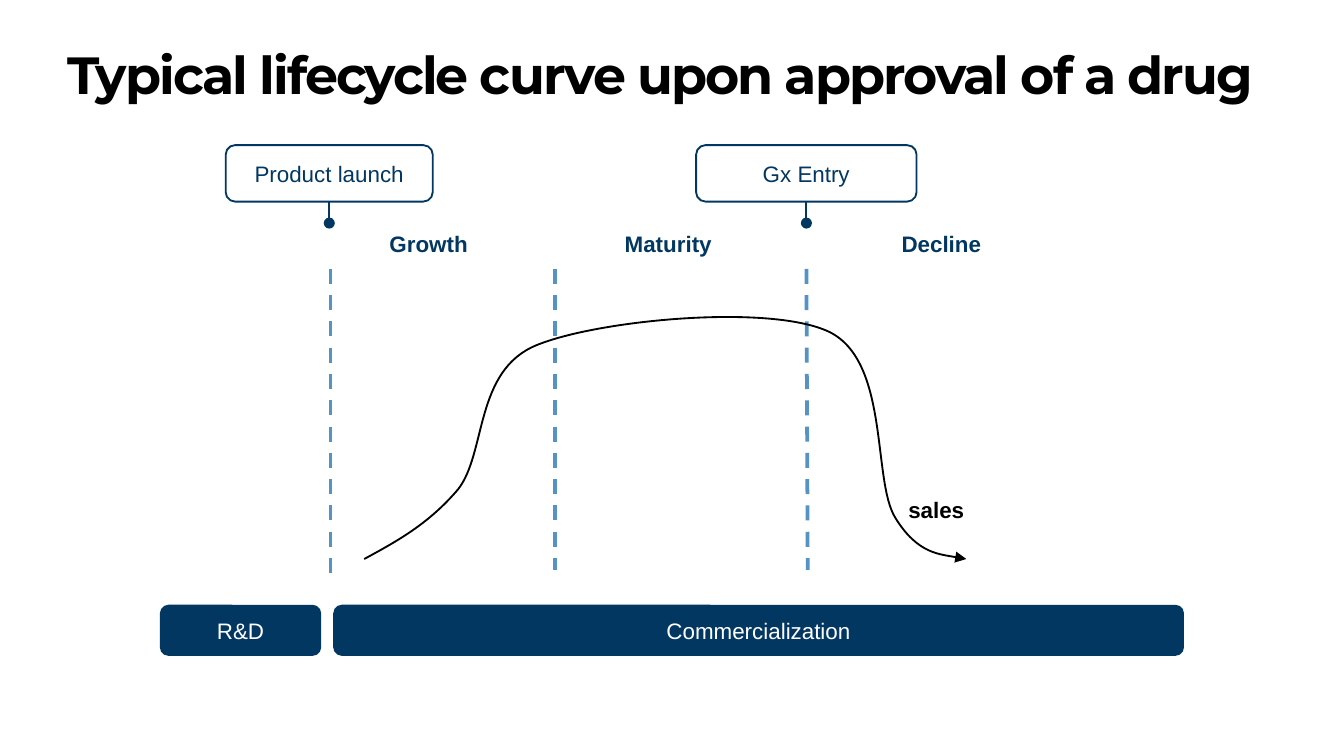
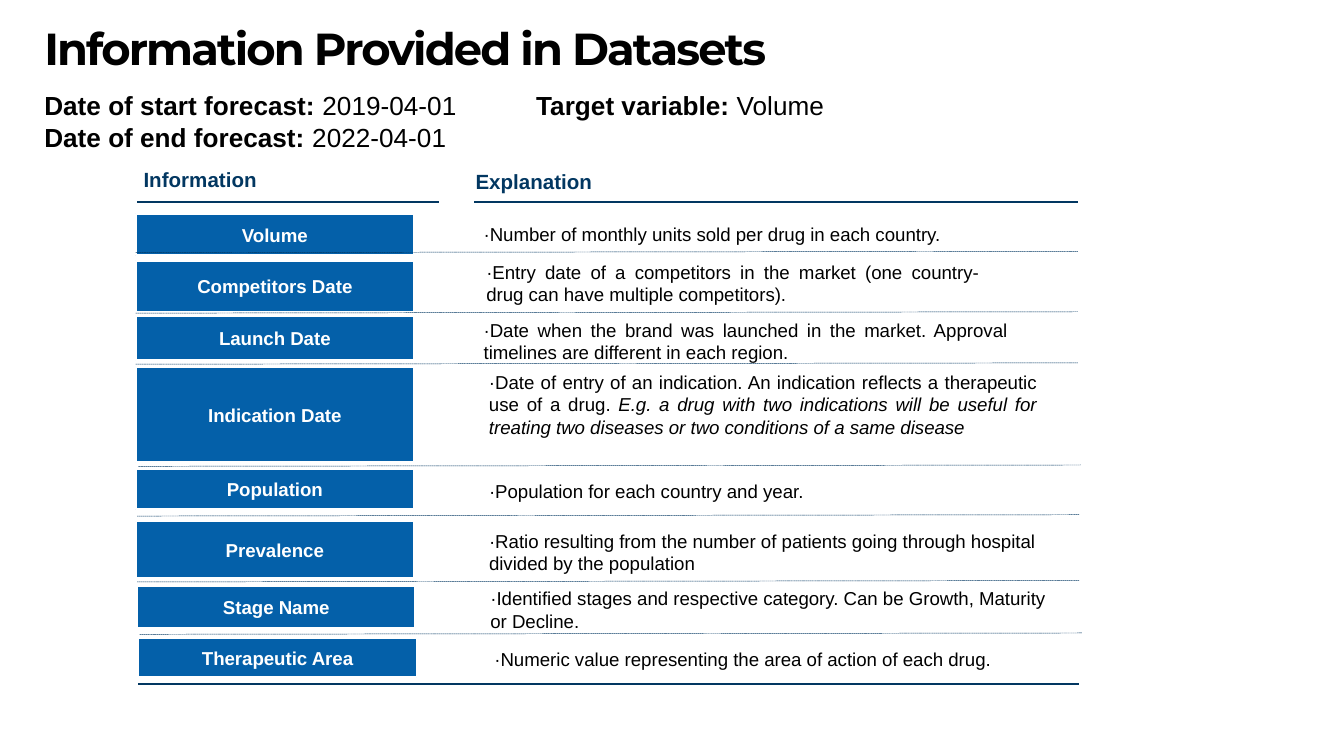
"""Builds two slides on the drug lifecycle curve and the datasets behind the forecast."""
from lxml.etree import SubElement
from pptx import Presentation
from pptx.dml.color import RGBColor
from pptx.enum.dml import MSO_LINE as DASH
from pptx.enum.shapes import MSO_CONNECTOR as CONNECTOR, MSO_SHAPE as SHAPE
from pptx.enum.text import MSO_ANCHOR as ANCHOR, PP_ALIGN as ALIGN
from pptx.oxml.ns import qn
from pptx.util import Pt

PX = 9144
SLIDE_WIDTH = 1000
BODY_FONT, TITLE_FONT = "Arial", "Montserrat"
COLORS = {
    "black": "000000",
    "white": "FFFFFF",
    "navy": "023761",
    "blue": "0460A9",
    "sky": "5593C4",
}

LIFECYCLE_TITLE = "Typical lifecycle curve upon approval of a drug"
PERIODS = [("R&D", 119, 120), ("Commercialization", 248, 633)]
PERIOD_TOP, PERIOD_HEIGHT = 450, 38
EVENTS = [("Product launch", 168, 154, 245), ("Gx Entry", 518, 164, 600)]
EVENT_TOP, EVENT_HEIGHT, EVENT_STEM = 108, 42, 16
STAGE_TOP = 200
STAGE_BORDERS = [(246, 246, 431), (413, 413, 424), (600, 601, 424)]
CURVE_LABELS = [
    ("Growth", 280, 166, 140, "navy"),
    ("Maturity", 455, 166, 116, "navy"),
    ("Decline", 661, 166, 140, "navy"),
    ("sales", 666, 364, 140, "black"),
]
CURVE_FRAME = (271, 236, 719, 416)
CURVE_START = (271, 416)
CURVE_BENDS = [
    [(295, 403), (319, 390), (341, 364)],
    [(362, 337), (353, 276), (399, 257)],
    [(445, 238), (573, 226), (617, 247)],
    [(662, 269), (649, 357), (666, 385)],
    [(683, 413), (719, 416), (719, 416)],
]

DATASET_TITLE = "Information Provided in Datasets"
FORECAST_FACTS = [
    [("Date of start forecast: ", "b"), ("2019-04-01\t", ""),
     ("Target variable: ", "b"), ("Volume", "")],
    [("Date of end forecast: ", "b"), ("2022-04-01", "")],
]
TARGET_TAB = 366
HEADINGS = [("Information", 97, 119, 102, 327), ("Explanation", 344, 121, 353, 802)]
HEADING_RULE, CLOSING_RULE = 150, (103, 509, 803, 509)
BAR_WIDTH, DIVIDER_WIDTH = 207, 701
ROWS = [
    {"name": "Volume", "bar": (101, 159, 31), "box": (350, 161, 386, 27), "divider": (101, 188),
     "runs": [("·Number of monthly units sold per drug in each country.", "")]},
    {"name": "Competitors Date", "bar": (101, 194, 38), "box": (352, 189, 386, 44),
     "divider": (101, 233), "justify": True,
     "runs": [("·Entry date of a competitors in the market (one country-drug "
               "can have multiple competitors).", "")]},
    {"name": "Launch Date", "bar": (101, 235, 33), "box": (350, 232, 409, 44),
     "divider": (101, 271), "justify": True,
     "runs": [("·Date when the brand was launched in the market. Approval timelines "
               "are different in each region.", "")]},
    {"name": "Indication Date", "bar": (101, 273, 71), "box": (354, 271, 427, 61),
     "divider": (103, 347), "justify": True,
     "runs": [("·Date of entry of an indication. An indication reflects a therapeutic "
               "use of a drug. ", ""),
              ("E.g. a drug with two indications will be useful for treating two "
               "diseases or two conditions of a same disease", "i")]},
    {"name": "Population", "bar": (101, 349, 30), "box": (354, 352, 338, 27),
     "divider": (102, 384),
     "runs": [("·Population for each country and year.", "")]},
    {"name": "Prevalence", "bar": (101, 388, 42), "box": (354, 389, 441, 44),
     "divider": (102, 433),
     "runs": [("·Ratio resulting from the number of patients going through hospital "
               "divided by the population", "")]},
    {"name": "Stage Name", "bar": (102, 436, 31), "box": (355, 432, 441, 44),
     "divider": (104, 472),
     "runs": [("·Identified stages and respective category. Can be Growth, Maturity "
               "or Decline.", "")]},
    {"name": "Therapeutic Area", "bar": (103, 475, 29), "box": (358, 477, 451, 27),
     "runs": [("·Numeric value representing the area of action of each drug.", "")]},
]


def scaled(*lengths):
    return [length * PX for length in lengths]


def rgb(color):
    return RGBColor.from_string(COLORS[color])


def write(shape, paragraphs, size, color="black", align=ALIGN.LEFT, font=BODY_FONT, inset=True):
    frame = shape.text_frame
    frame.word_wrap = True
    if not inset:
        frame.margin_left = frame.margin_top = frame.margin_right = frame.margin_bottom = 0
    for index, runs in enumerate(paragraphs):
        paragraph = frame.add_paragraph() if index else frame.paragraphs[0]
        paragraph.alignment = align
        for text, style in runs:
            run = paragraph.add_run()
            run.text = text
            run.font.name, run.font.size = font, Pt(size)
            run.font.bold, run.font.italic = "b" in style, "i" in style
            run.font.color.rgb = rgb(color)
    return frame


def add_text(slide, box, paragraphs, size, **options):
    return write(slide.shapes.add_textbox(*scaled(*box)), paragraphs, size, **options)


def add_title(slide, text, box, size):
    frame = add_text(slide, box, [[(text, "b")]], size, font=TITLE_FONT, inset=False)
    paragraph = frame.paragraphs[0]
    paragraph.line_spacing = 0.9
    paragraph.runs[0].font._element.set("spc", "-100")


def add_box(slide, kind, box, text, size, fill, color="white", line=None, style=""):
    shape = slide.shapes.add_shape(kind, *scaled(*box))
    shape.shadow.inherit = False
    shape.fill.solid()
    shape.fill.fore_color.rgb = rgb(fill)
    if line:
        shape.line.color.rgb = rgb(line)
        shape.line.width = Pt(1)
    else:
        shape.line.fill.background()
    frame = write(shape, [[(text, style)]], size, color=color, align=ALIGN.CENTER, inset=False)
    frame.vertical_anchor = ANCHOR.MIDDLE


def add_tail(shape, kind):
    SubElement(shape.line._get_or_add_ln(), qn("a:tailEnd"), type=kind)


def add_line(slide, ends, color="navy", width=1, dash=None, tail=None):
    line = slide.shapes.add_connector(CONNECTOR.STRAIGHT, *scaled(*ends))
    line.line.color.rgb = rgb(color)
    line.line.width = Pt(width)
    if dash:
        line.line.dash_style = dash
    if tail:
        add_tail(line, tail)
    SubElement(line._element.spPr, qn("a:effectLst"))


def add_curve(slide):
    left, top, right, bottom = CURVE_FRAME
    builder = slide.shapes.build_freeform(left, top, scale=PX)
    builder.add_line_segments([(right, bottom)], close=False)
    curve = builder.convert_to_shape()
    outline = curve._element.find(".//" + qn("a:path"))
    for step in list(outline):
        outline.remove(step)
    steps = [("a:moveTo", [CURVE_START])] + [("a:cubicBezTo", bend) for bend in CURVE_BENDS]
    for tag, points in steps:
        step = SubElement(outline, qn(tag))
        for x, y in points:
            SubElement(step, qn("a:pt"), x=str(x - left), y=str(y - top))
    curve.shadow.inherit = False
    curve.fill.background()
    curve.line.color.rgb = rgb("black")
    curve.line.width = Pt(1)
    add_tail(curve, "triangle")


def build_lifecycle(slide):
    add_title(slide, LIFECYCLE_TITLE, (50, 37, 900, 105), 28)
    for name, left, width in PERIODS:
        box = (left, PERIOD_TOP, width, PERIOD_HEIGHT)
        add_box(slide, SHAPE.ROUNDED_RECTANGLE, box, name, 12, "navy")
    stem_top = EVENT_TOP + EVENT_HEIGHT
    for name, left, width, stem in EVENTS:
        box = (left, EVENT_TOP, width, EVENT_HEIGHT)
        add_box(slide, SHAPE.ROUNDED_RECTANGLE, box, name, 12, "white", "navy", "navy")
        add_line(slide, (stem, stem_top, stem, stem_top + EVENT_STEM), tail="oval")
    for top_x, bottom_x, bottom in STAGE_BORDERS:
        add_line(slide, (top_x, STAGE_TOP, bottom_x, bottom), "sky", 2, DASH.DASH)
    for name, left, top, width, color in CURVE_LABELS:
        add_text(slide, (left, top, width, 37), [[(name, "b")]], 12, color=color)
    add_curve(slide)


def build_datasets(slide):
    add_title(slide, DATASET_TITLE, (33, 20, 934, 105), 24)
    facts = add_text(slide, (33, 54, 906, 72), FORECAST_FACTS, 14, inset=False)
    facts.vertical_anchor = ANCHOR.MIDDLE
    tabs = SubElement(facts.paragraphs[0]._p.get_or_add_pPr(), qn("a:tabLst"))
    SubElement(tabs, qn("a:tab"), pos=str(TARGET_TAB * PX), algn="l")
    for name, left, top, start, end in HEADINGS:
        add_text(slide, (left, top, 283, 49), [[(name, "b")]], 11, color="navy")
        add_line(slide, (start, HEADING_RULE, end, HEADING_RULE))
    for row in ROWS:
        left, top, height = row["bar"]
        add_box(slide, SHAPE.RECTANGLE, (left, top, BAR_WIDTH, height), row["name"], 10,
                "blue", line="white", style="b")
        align = ALIGN.JUSTIFY if row.get("justify") else ALIGN.LEFT
        add_text(slide, row["box"], [row["runs"]], 10, align=align)
        if "divider" in row:
            x, y = row["divider"]
            add_line(slide, (x, y, x + DIVIDER_WIDTH, y - 1), width=0.25, dash=DASH.SQUARE_DOT)
    add_line(slide, CLOSING_RULE)


def main():
    presentation = Presentation()
    presentation.slide_width = SLIDE_WIDTH * PX
    presentation.slide_height = presentation.slide_width * 9 // 16
    blank = presentation.slide_layouts[6]
    for build in (build_lifecycle, build_datasets):
        build(presentation.slides.add_slide(blank))
    presentation.save("out.pptx")


if __name__ == "__main__":
    main()
